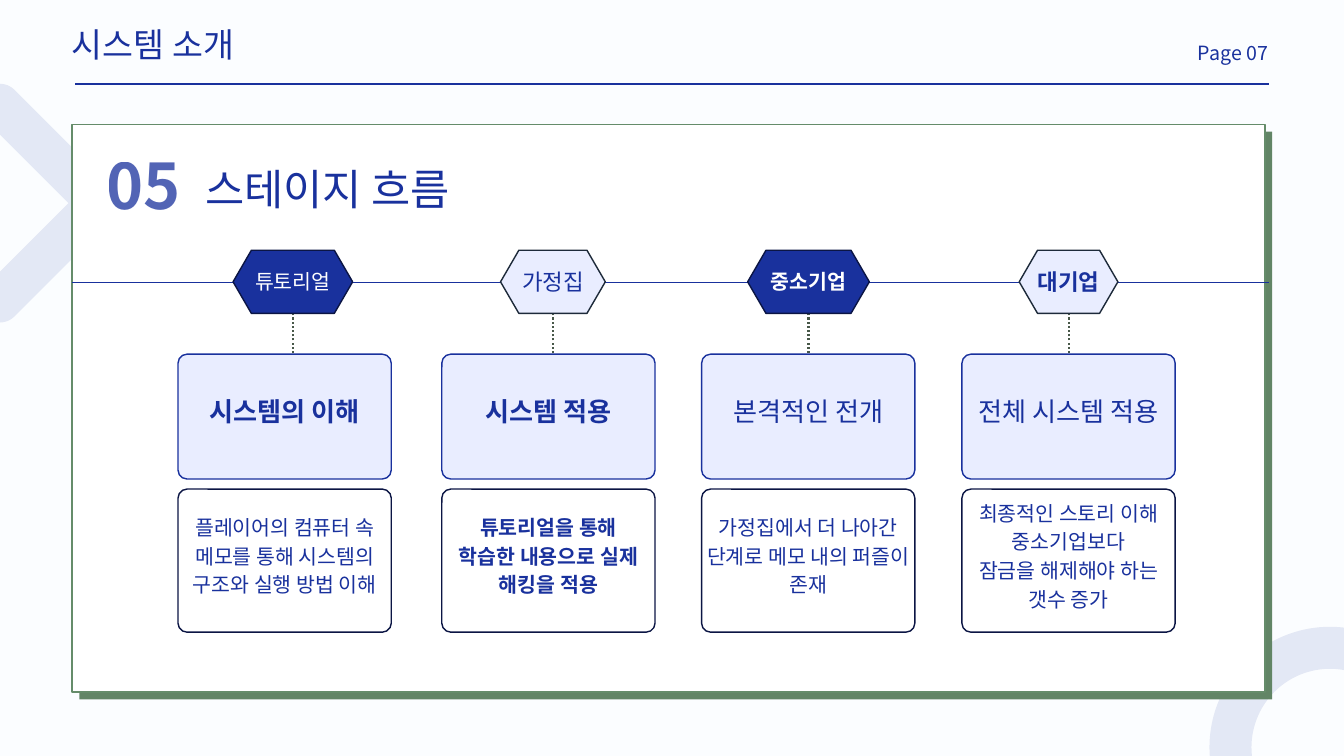
import pptx
import pptx.dml.color
import pptx.enum.dml
import pptx.enum.shapes
import pptx.enum.text
import pptx.oxml.ns
import pptx.util
from lxml import etree

Cm, Pt = pptx.util.Cm, pptx.util.Pt
SHAPE = pptx.enum.shapes.MSO_SHAPE
ALIGN = pptx.enum.text.PP_ALIGN
ANCHOR = pptx.enum.text.MSO_ANCHOR
qn = pptx.oxml.ns.qn

BLUE, NAVY, INK = "19319D", "0B1544", "1D2A3A"
PALE, WHITE, GREEN = "E9EDFF", "FFFFFF", "628566"


def paint(fill, color, alpha=100):
    """Give a fill a solid colour from a hex string, with opacity in percent."""
    fill.solid()
    fill.fore_color.rgb = pptx.dml.color.RGBColor.from_string(color)
    if alpha < 100:
        for rgb in fill._xPr.iter(qn("a:srgbClr")):
            etree.SubElement(rgb, qn("a:alpha")).set("val", str(alpha * 1000))


class Deck:
    font = "Noto Sans CJK KR"

    def __init__(self, width, height, background):
        self.presentation = pptx.Presentation()
        self.presentation.slide_width = Cm(width)
        self.presentation.slide_height = Cm(height)
        self.slide = self.presentation.slides.add_slide(
            self.presentation.slide_layouts[6])
        paint(self.slide.background.fill, background)

    def shape(self, kind, left, top, width, height, fill=None, line=None,
              weight=1.5, line_alpha=100, adjust=None):
        shape = self.slide.shapes.add_shape(
            kind, Cm(left), Cm(top), Cm(width), Cm(height))
        shape.shadow.inherit = False
        if adjust is not None:
            shape.adjustments[0] = adjust
        if fill:
            paint(shape.fill, fill)
        else:
            shape.fill.background()
        if line:
            paint(shape.line.fill, line, line_alpha)
            shape.line.width = Pt(weight)
        else:
            shape.line.fill.background()

    def line(self, x1, y1, x2, y2, color, weight, dash=None):
        line = self.slide.shapes.add_connector(
            pptx.enum.shapes.MSO_CONNECTOR.STRAIGHT,
            Cm(x1), Cm(y1), Cm(x2), Cm(y2))
        paint(line.line.fill, color)
        line.line.width = Pt(weight)
        if dash:
            line.line.dash_style = dash
        etree.SubElement(line._element.spPr, qn("a:effectLst"))

    def text(self, words, left, top, width, height, size, spacing,
             color=BLUE, bold=False, align=ALIGN.LEFT, anchor=ANCHOR.TOP,
             inset=0, alpha=100):
        box = self.slide.shapes.add_textbox(
            Cm(left), Cm(top), Cm(width), Cm(height))
        frame = box.text_frame
        frame.word_wrap = True
        frame.vertical_anchor = anchor
        frame.margin_left = frame.margin_right = Cm(inset)
        frame.margin_top = frame.margin_bottom = Cm(inset)
        frame.text = words
        for paragraph in frame.paragraphs:
            paragraph.alignment = align
            paragraph.line_spacing = Pt(spacing)
            for run in paragraph.runs:
                run.font.size = Pt(size)
                run.font.bold = bold
                run.font.name = self.font
                paint(run.font.fill, color, alpha)
                east_asian = etree.SubElement(run.font._element, qn("a:ea"))
                east_asian.set("typeface", self.font)

    def label(self, words, left, top, width, height, size, color=BLUE, bold=False):
        """Centred text with line spacing of 1.4 times its size."""
        self.text(words, left, top, width, height, size, size * 1.4, color, bold,
                  ALIGN.CENTER, ANCHOR.MIDDLE, inset=0.15)

    def card(self, words, left, top, height, rise, size, bold, fill, line):
        """Rounded card whose text area starts a little above its top."""
        width, radius = 8.06, 0.34
        self.shape(SHAPE.ROUNDED_RECTANGLE, left, top, width, height, fill, line,
                   adjust=radius / height)
        self.label(words, left, top - rise, width, height + rise, size, bold=bold)

    def hexagon(self, words, center, width, size, fill, line, color, bold):
        height, side_gap = 2.39, 0.4
        self.shape(SHAPE.HEXAGON, center - width / 2, 9.46, width, height,
                   fill, line, adjust=0.29)
        self.label(words, center - width / 2 + side_gap, 9.29,
                   width - 2 * side_gap, 2.57, size, color, bold)


def main():
    deck = Deck(50.8, 28.58, "FBFDFF")

    # Background ornaments
    deck.shape(SHAPE.OVAL, 46.51, 24.49, 7.52, 7.52, None, BLUE, 45, 10)
    deck.shape(SHAPE.DIAMOND, -3.73, 3.96, 7.44, 7.44, None, BLUE, 45, 10)

    # Panel with its offset backing
    deck.shape(SHAPE.RECTANGLE, 3, 4.98, 45.09, 21.46, GREEN)
    deck.shape(SHAPE.RECTANGLE, 2.72, 4.7, 45.09, 21.46, WHITE, "658C6A")

    # Timeline
    deck.line(2.72, 10.67, 47.96, 10.67, BLUE, 1.5)

    # Stages: name, centre, width, size, bold; card left; goal, bold; details, bold
    stages = [
        ("튜토리얼", 11.07, 4.52, 22, False, 6.73, "시스템의 이해", True,
         "플레이어의 컴퓨터 속 메모를 통해 시스템의 구조와 실행 방법 이해", False),
        ("가정집", 20.9, 3.96, 24, False, 16.7, "시스템 적용", True,
         "튜토리얼을 통해\n학습한 내용으로 실제 해킹을 적용", True),
        ("중소기업", 30.56, 4.6, 22, True, 26.52, "본격적인 전개", False,
         "가정집에서 더 나아간 단계로 메모 내의 퍼즐이 존재", False),
        ("대기업", 40.39, 3.73, 24, True, 36.36, "전체 시스템 적용", False,
         "최종적인 스토리 이해\n중소기업보다\n잠금을 해제해야 하는 갯수 증가", False),
    ]
    for index, (name, center, width, size, name_bold, left,
                goal, goal_bold, details, details_bold) in enumerate(stages):
        dark = index % 2 == 0
        colors = (BLUE, NAVY, WHITE) if dark else (PALE, INK, BLUE)
        deck.line(center, 15.24, center, 11.84, "485849", 2.25,
                  pptx.enum.dml.MSO_LINE.ROUND_DOT)
        deck.hexagon(name, center, width, size, *colors, name_bold)
        deck.card(goal, left, 13.39, 4.72, 0.61, 28, goal_bold, PALE, BLUE)
        deck.card(details, left, 18.49, 5.41, 0.51, 22, details_bold, WHITE, NAVY)

    # Header
    deck.text("시스템 소개", 2.72, 0.64, 14.45, 1.7, 36, 50.3)
    deck.line(2.84, 3.18, 47.96, 3.18, BLUE, 2.25)
    deck.text("Page 07", 35.56, 1.32, 12.37, 1.07, 21, 32.1, align=ALIGN.RIGHT)

    # Section heading
    deck.text("05", 4.04, 5.08, 3.71, 3.2, 67.4, 94.4, bold=True, alpha=74)
    deck.text("스테이지 흐름", 7.75, 5.84, 11.05, 2.13, 45.6, 63.8)

    deck.presentation.save("out.pptx")


if __name__ == "__main__":
    main()
